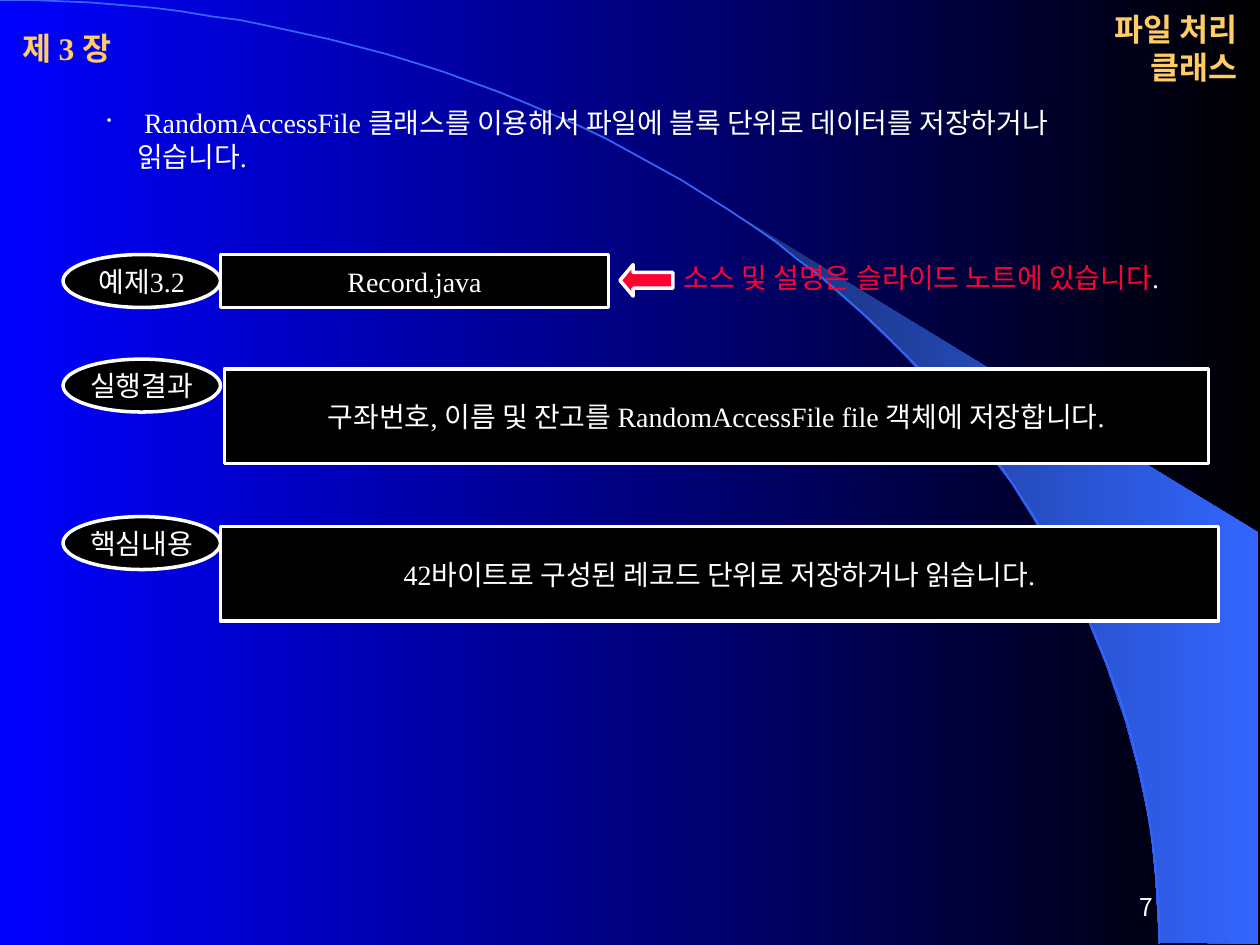
import math
from dataclasses import dataclass
from typing import Optional

from lxml import etree
from pptx import Presentation
from pptx import util as u
from pptx.dml.color import RGBColor
from pptx.enum import shapes, text
from pptx.oxml.ns import qn

SHAPE = shapes.MSO_SHAPE
ALIGN = text.PP_ALIGN
ANCHOR = text.MSO_ANCHOR


@dataclass(frozen=True)
class Theme:
    white: str = "FFFFFF"
    black: str = "000000"
    blue: str = "0000FF"
    navy: str = "182F76"
    azure: str = "3366FF"
    gold: str = "FFCC66"
    red: str = "FF0033"
    font: str = "Times New Roman"
    number_font: str = "Noto Sans CJK KR"
    heading: int = 18
    body: int = 16
    number: int = 14
    outline: float = 2


@dataclass(frozen=True)
class Box:
    left: float
    top: float
    width: float
    height: float

    def lengths(self) -> list:
        return [u.Inches(n) for n in (self.left, self.top, self.width, self.height)]


@dataclass(frozen=True)
class Label:
    words: str
    box: Box
    size: int
    color: str
    font: str
    align: ALIGN = ALIGN.LEFT
    anchor: ANCHOR = ANCHOR.MIDDLE
    wrap: bool = False
    bold: bool = False
    ending: str = ""


@dataclass(frozen=True)
class Section:
    title: str
    title_top: float
    content: str
    panel: Box


THEME = Theme()
UNITS_PER_INCH = 100
WEDGE = [
    (9.2, 7.48), (9.99, 7.49), (9.99, 4.23), (5.89, 1.73), (6.24, 1.99), (6.53, 2.22),
    (6.85, 2.5), (7.16, 2.8), (7.62, 3.3), (8.03, 3.84), (8.32, 4.31), (8.58, 4.79),
    (8.78, 5.28), (8.93, 5.72), (9.03, 6.09), (9.13, 6.56), (9.17, 6.96),
]
ARC_WIDTH, ARC_HEIGHT, ARC_STEPS = 9.2, 7.49, 60
ARC = [
    (ARC_WIDTH * math.sin(angle), ARC_HEIGHT * (1 - math.cos(angle)))
    for angle in (math.pi / 2 * step / ARC_STEPS for step in range(ARC_STEPS + 1))
]
LABELS = [
    Label("7", Box(7.17, 6.95, 2.08, 0.5), THEME.number, THEME.white, THEME.number_font,
          ALIGN.RIGHT, wrap=True),
    Label("제 3 장", Box(0.08, 0.17, 1.42, 0.42), THEME.heading, THEME.gold, THEME.font, bold=True),
    Label("파일 처리 클래스", Box(8.42, 0.17, 1.5, 0.42), THEME.heading, THEME.gold, THEME.font,
          ALIGN.RIGHT, bold=True),
    Label("소스 및 설명은 슬라이드 노트에 있습니다", Box(5.33, 2.02, 4.42, 0.37), THEME.body,
          THEME.red, THEME.font, anchor=ANCHOR.TOP, wrap=True, ending="."),
]
INTRODUCTION = Label(
    " RandomAccessFile 클래스를 이용해서 파일에 블록 단위로 데이터를 저장하거나 읽습니다.",
    Box(0.75, 0.79, 8.5, 0.37), THEME.body, THEME.white, THEME.font, anchor=ANCHOR.TOP, wrap=True,
)
SECTIONS = [
    Section("예제3.2", 2.02, "Record.java", Box(1.75, 2.02, 3.08, 0.42)),
    Section("실행결과", 2.85, "구좌번호, 이름 및 잔고를 RandomAccessFile file 객체에 저장합니다.",
            Box(1.78, 2.93, 7.81, 0.75)),
    Section("핵심내용", 4.1, "42바이트로 구성된 레코드 단위로 저장하거나 읽습니다.",
            Box(1.75, 4.18, 7.92, 0.75)),
]


def rgb(color: str) -> RGBColor:
    return RGBColor.from_string(color)


def fill_gradient(fill, start: str, end: str) -> None:
    fill.gradient()
    fill.gradient_angle = 0
    for stop, color in zip(fill.gradient_stops, (start, end)):
        stop.color.rgb = rgb(color)


def write_text(shape, label: Label):
    frame = shape.text_frame
    frame.word_wrap = label.wrap
    frame.vertical_anchor = label.anchor
    paragraph = frame.paragraphs[0]
    paragraph.alignment = label.align
    paragraph.font.size = u.Pt(label.size)
    paragraph.font.name = label.font
    paragraph.font.bold = label.bold
    paragraph.font.color.rgb = rgb(label.color)
    paragraph.add_run().text = label.words
    if label.ending:
        ending = paragraph.add_run()
        ending.text = label.ending
        ending.font.color.rgb = rgb(THEME.white)


def draw_label(slide, label: Label):
    shape = slide.shapes.add_textbox(*label.box.lengths())
    write_text(shape, label)
    return shape


def draw_introduction(slide) -> None:
    shape = slide.shapes.add_textbox(*INTRODUCTION.box.lengths())
    properties = shape.text_frame.paragraphs[0]._p.get_or_add_pPr()
    hanging = u.Inches(0.24)
    properties.set("marL", str(hanging))
    properties.set("indent", str(-hanging))
    bullet_color = etree.SubElement(properties, qn("a:buClr"))
    etree.SubElement(bullet_color, qn("a:srgbClr"), val=THEME.white)
    etree.SubElement(properties, qn("a:buSzPct"), val="50000")
    etree.SubElement(properties, qn("a:buChar"), char="•")
    write_text(shape, INTRODUCTION)


def draw_shape(slide, kind: SHAPE, box: Box, color: str, words: Optional[str] = None):
    shape = slide.shapes.add_shape(kind, *box.lengths())
    shape.shadow.inherit = False
    shape.fill.solid()
    shape.fill.fore_color.rgb = rgb(color)
    shape.line.color.rgb = rgb(THEME.white)
    shape.line.width = u.Pt(THEME.outline)
    if words:
        write_text(shape, Label(words, box, THEME.body, THEME.white, THEME.font, ALIGN.CENTER))
    return shape


def draw_outline(slide, points: list, close: bool):
    scaled = [(round(x * UNITS_PER_INCH), round(y * UNITS_PER_INCH)) for x, y in points]
    builder = slide.shapes.build_freeform(*scaled[0], scale=u.Inches(1) / UNITS_PER_INCH)
    builder.add_line_segments(scaled[1:], close=close)
    shape = builder.convert_to_shape()
    shape.shadow.inherit = False
    return shape


def draw_background(slide) -> None:
    fill_gradient(slide.background.fill, THEME.blue, THEME.black)
    wedge = draw_outline(slide, WEDGE, close=True)
    fill_gradient(wedge.fill, THEME.navy, THEME.azure)
    wedge.line.fill.background()
    arc = draw_outline(slide, ARC, close=False)
    arc.fill.background()
    arc.line.color.rgb = rgb(THEME.azure)
    arc.line.width = u.Pt(1)


def main() -> None:
    presentation = Presentation()
    presentation.slide_width = u.Inches(10)
    presentation.slide_height = u.Inches(7.5)
    slide = presentation.slides.add_slide(presentation.slide_layouts[6])
    draw_background(slide)
    for label in LABELS:
        draw_label(slide, label)
    draw_introduction(slide)
    for section in SECTIONS:
        draw_shape(slide, SHAPE.OVAL, Box(0.5, section.title_top, 1.25, 0.42), THEME.black, section.title)
        draw_shape(slide, SHAPE.RECTANGLE, section.panel, THEME.black, section.content)
    arrow = draw_shape(slide, SHAPE.LEFT_ARROW, Box(4.92, 2.1, 0.42, 0.25), THEME.red)
    arrow.adjustments[0] = 0.5
    arrow.adjustments[1] = 0.42
    presentation.save("out.pptx")


if __name__ == "__main__":
    main()
